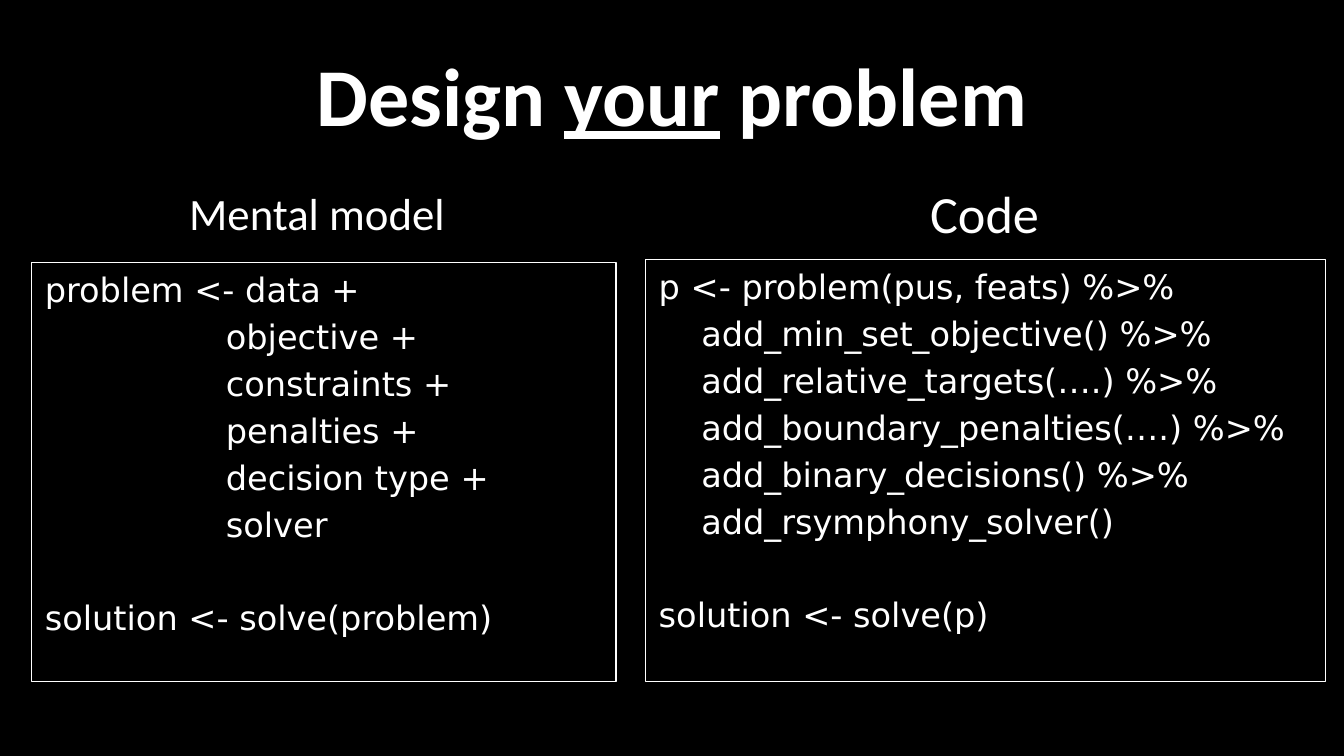
from pptx import Presentation
from pptx.dml.color import RGBColor as RGB
from pptx.enum.shapes import MSO_SHAPE as Shape
from pptx.enum.text import MSO_ANCHOR as Anchor, MSO_AUTO_SIZE as Fit, PP_ALIGN as Align
from pptx.util import Inches, Pt

# Content: each panel has a heading and blocks of code lines
TITLE = [("Design ", False), ("your", True), (" problem", False)]
PANELS = [
    {
        "head": "Mental model", "size": 24, "box": (2.35, 34.7, 43.5), "span": (22, 8.9),
        "code": [
            ["problem <- data +",
             "                 objective +",
             "                 constraints +",
             "                 penalties +",
             "                 decision type +",
             "                 solver"],
            ["solution <- solve(problem)"],
        ],
    },
    {
        "head": "Code", "size": 28, "box": (48.03, 34.31, 50.6), "span": (10.2, 10.13),
        "code": [
            ["p <- problem(pus, feats) %>%",
             "    add_min_set_objective() %>%",
             "    add_relative_targets(….) %>%",
             "    add_boundary_penalties(….) %>%",
             "    add_binary_decisions() %>%",
             "    add_rsymphony_solver()"],
            ["solution <- solve(p)"],
        ],
    },
]


class Theme:
    back, ink = RGB(0, 0, 0), RGB(255, 255, 255)
    title = {"name": "Calibri", "size": Pt(44), "bold": True}
    head = {"name": "Calibri"}
    code = {"name": "DejaVu Sans", "size": Pt(18)}
    line = Pt(0.75)
    gap, skip = Pt(3.6), Pt(28.2)  # between lines, between blocks


# Rows, as percent of the slide height
HEAD_MID, BASE = 28.13, 90.17

deck = Presentation()
deck.slide_width = Inches(10)
deck.slide_height = deck.slide_width * 9 // 16


def place(x, y, w, h):
    """Turn percent of the slide into lengths."""
    wide, high = deck.slide_width / 100, deck.slide_height / 100
    return [int(v) for v in (x * wide, y * high, w * wide, h * high)]


def style(font, **form):
    for key, val in form.items():
        setattr(font, key, val)
    font.color.rgb = Theme.ink


def add_head(slide, panel):
    x, _, w = panel["box"]
    wide, high = panel["span"]
    area = place(x + (w - wide) / 2, HEAD_MID - high / 2, wide, high)
    frame = slide.shapes.add_textbox(*area).text_frame
    frame.word_wrap, frame.auto_size = False, Fit.SHAPE_TO_FIT_TEXT
    para = frame.paragraphs[0]
    para.text, para.alignment = panel["head"], Align.LEFT
    style(para.runs[0].font, size=Pt(panel["size"]), **Theme.head)


def add_code(slide, panel):
    x, y, w = panel["box"]
    box = slide.shapes.add_shape(Shape.RECTANGLE, *place(x, y, w, BASE - y))
    box.shadow.inherit = False
    box.fill.background()
    box.line.color.rgb, box.line.width = Theme.ink, Theme.line
    frame = box.text_frame
    frame.word_wrap, frame.vertical_anchor = True, Anchor.TOP
    rows = [(line, Theme.gap if i else Theme.skip)
            for block in panel["code"] for i, line in enumerate(block)]
    for i, (line, space) in enumerate(rows):
        para = frame.add_paragraph() if i else frame.paragraphs[0]
        para.text, para.alignment = line, Align.LEFT
        para.space_before = space if i else Pt(0)
        style(para.runs[0].font, **Theme.code)


# Slide and title
slide = deck.slides.add_slide(deck.slide_layouts[5])
slide.background.fill.solid()
slide.background.fill.fore_color.rgb = Theme.back
title = slide.shapes.title
title.left, title.top, title.width, title.height = place(5, 4.1, 90, 16.7)
title.text_frame.vertical_anchor = Anchor.MIDDLE
para = title.text_frame.paragraphs[0]
para.alignment = Align.CENTER
for text, under in TITLE:
    run = para.add_run()
    run.text = text
    style(run.font, underline=under, **Theme.title)

# Panels
for panel in PANELS:
    add_head(slide, panel)
    add_code(slide, panel)

deck.save("out.pptx")
